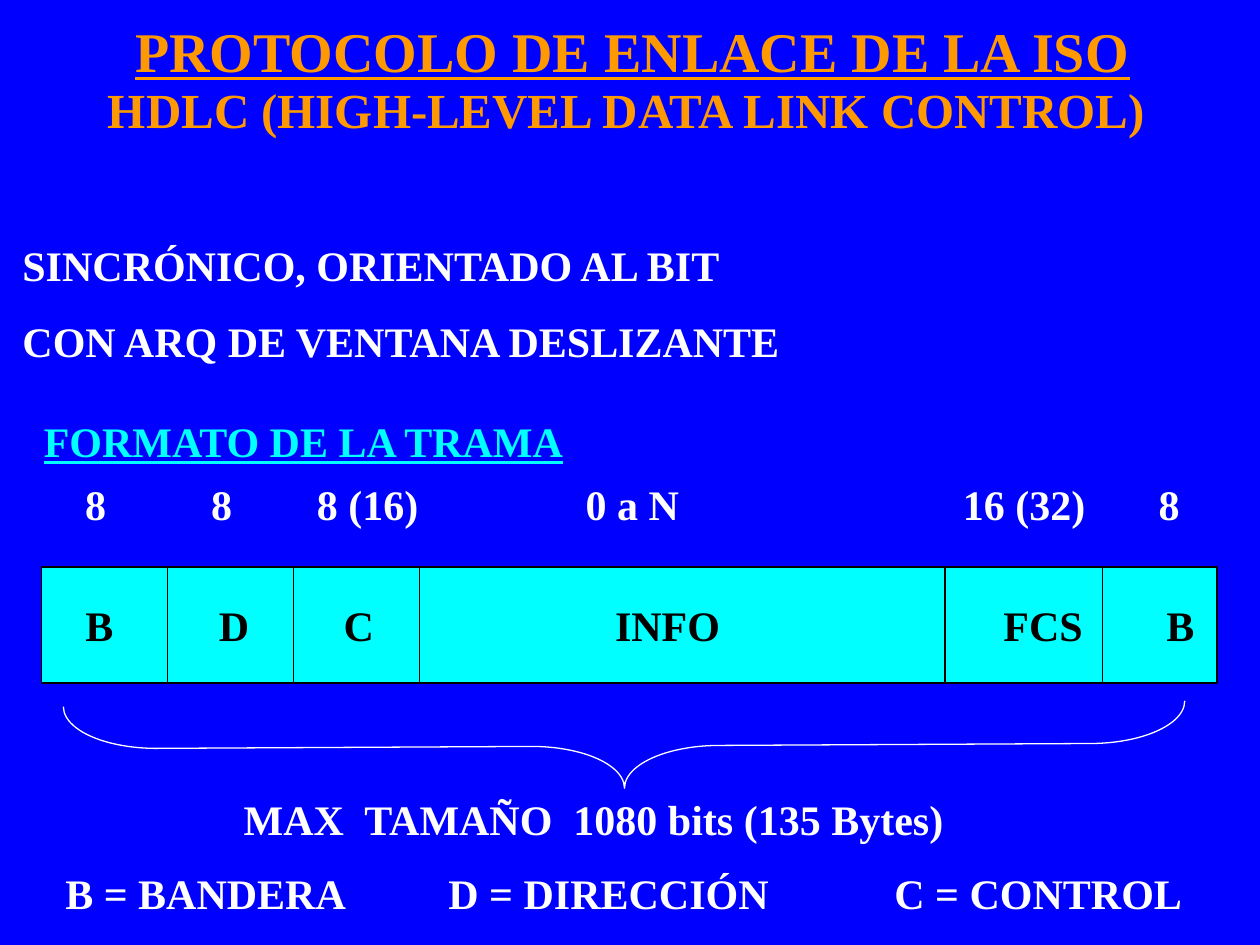
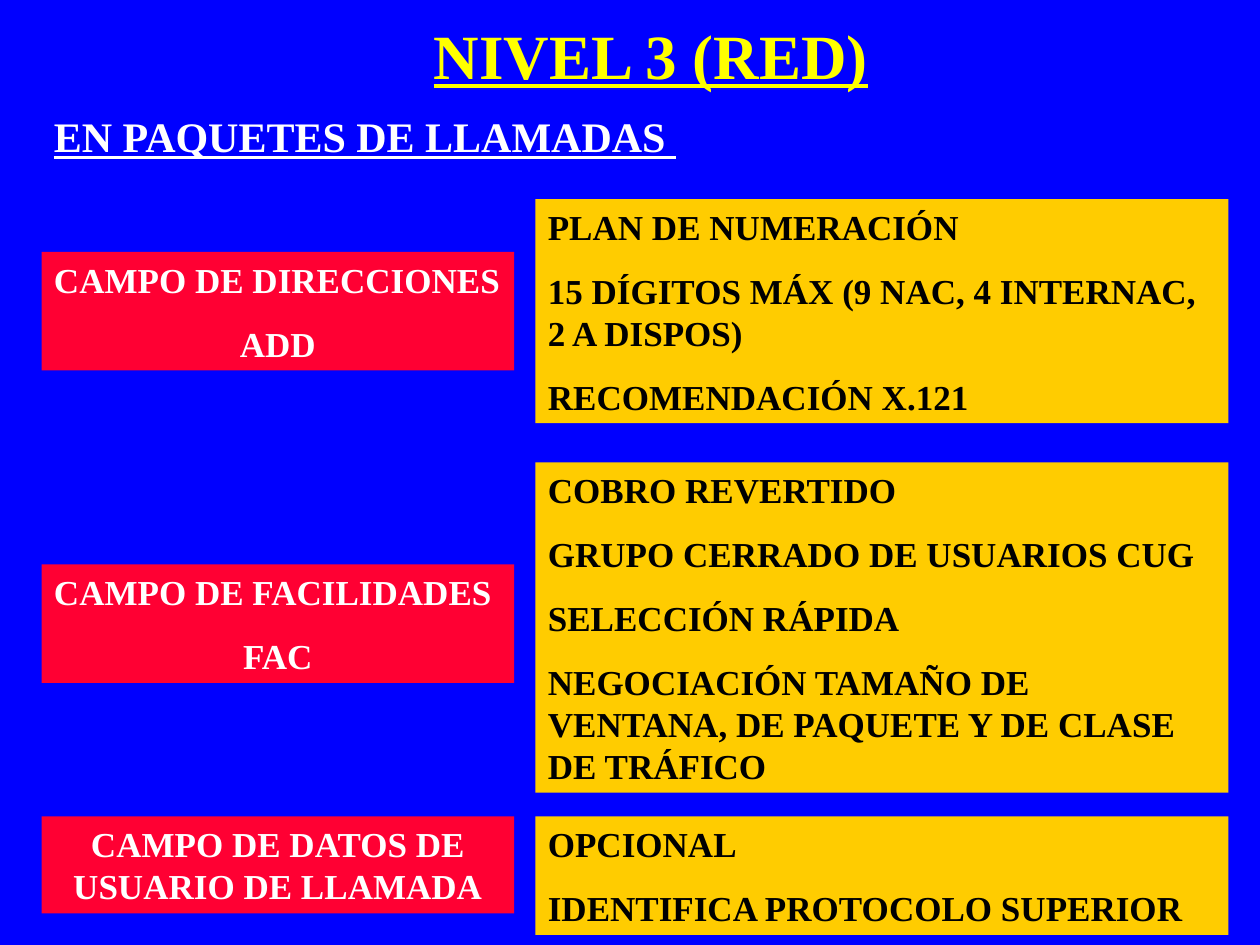
"""Build two slides on the HDLC frame format and the level 3 call packets."""
from lxml.etree import SubElement
from pptx import Presentation
from pptx.dml.color import RGBColor
from pptx.enum.shapes import MSO_CONNECTOR, MSO_SHAPE
from pptx.enum.text import MSO_ANCHOR, MSO_AUTO_SIZE, PP_ALIGN
from pptx.oxml.ns import qn
from pptx.util import Inches, Pt

FONT = "Times New Roman"
HEX = {"back": "0000FF", "orange": "FF9900", "cyan": "00FFFF", "white": "FFFFFF",
       "black": "000000", "yellow": "FFFF00", "red": "FF0033", "gold": "FFCC00"}
RGB = {name: RGBColor.from_string(code) for name, code in HEX.items()}
LEFT, MID = PP_ALIGN.LEFT, PP_ALIGN.CENTER


def add_box(slide, place, fill=None):
    spots = [Inches(v) for v in place]
    if fill is None:
        box = slide.shapes.add_textbox(*spots)
    else:
        box = slide.shapes.add_shape(MSO_SHAPE.RECTANGLE, *spots)
        box.shadow.inherit = False
        box.fill.solid()
        box.fill.fore_color.rgb = RGB[fill]
        box.line.fill.background()
    box.text_frame.word_wrap = True
    box.text_frame.auto_size = MSO_AUTO_SIZE.SHAPE_TO_FIT_TEXT
    box.text_frame.vertical_anchor = MSO_ANCHOR.TOP
    return box


def add_line(box, text, size, color, align=LEFT, under=False, tabs=(), kind="ctr"):
    frame = box.text_frame
    first = not frame.paragraphs[0].runs
    para = frame.paragraphs[0] if first else frame.add_paragraph()
    para.alignment = align
    if tabs:
        stops = SubElement(para._p.get_or_add_pPr(), qn("a:tabLst"))
        for stop in tabs:
            SubElement(stops, qn("a:tab"), pos=str(Inches(stop)), algn=kind)
    if not first:
        para.space_before = Pt(size * 0.625)
    run = para.add_run()
    run.text = text
    run.font.name = FONT
    run.font.size = Pt(size)
    run.font.bold = True
    run.font.underline = under
    run.font.color.rgb = RGB[color]
    return para


deck = Presentation()
deck.slide_width, deck.slide_height = Inches(10), Inches(7.5)
slides = [deck.slides.add_slide(deck.slide_layouts[6]) for _ in range(2)]
for slide in slides:
    slide.background.fill.solid()
    slide.background.fill.fore_color.rgb = RGB["back"]
link, net = slides

title = add_box(link, (0.27, 0.08, 9.5, 1.02))
add_line(title, "PROTOCOLO DE ENLACE DE LA ISO", 32, "orange", MID, True)
para = add_line(title, "HDLC (HIGH-LEVEL DATA LINK CONTROL) ", 28, "orange", MID)
para.line_spacing = 0.3

TOP, TALL = 4.5, 0.92
band = add_box(link, (0.33, TOP, 9.33, TALL), "cyan")
band.line.color.rgb = RGB["black"]
band.line.width = Pt(0.75)
band.text_frame.auto_size = MSO_AUTO_SIZE.NONE
band.text_frame.vertical_anchor = MSO_ANCHOR.MIDDLE
add_line(band, "\tB\tD\tC\tINFO\tFCS\tB", 24, "black",
         tabs=(0.36, 1.43, 2.42, 4.87, 7.85, 8.94))
for x in (1.33, 2.33, 3.33, 7.5, 8.75):
    rule = link.shapes.add_connector(MSO_CONNECTOR.STRAIGHT, Inches(x), Inches(TOP),
                                     Inches(x), Inches(TOP + TALL))
    rule.line.color.rgb = RGB["black"]
    rule.line.width = Pt(0.75)
    SubElement(rule._element.spPr, qn("a:effectLst"))

bits = add_box(link, (0.25, 3.75, 9.42, 0.5))
add_line(bits, "\t8\t8\t8 (16)\t0 a N\t16 (32)\t8", 24, "white",
         tabs=(0.41, 1.41, 2.57, 4.67, 7.78, 8.93))
key = add_box(link, (0.42, 6.91, 9.58, 0.42))
para = add_line(key, "B = BANDERA\tD = DIRECCIÓN\tC = CONTROL", 24, "white",
                tabs=(3.04, 6.58), kind="l")
para.line_spacing = 0.8
head = add_box(link, (0.25, 3.25, 6.67, 0.5))
add_line(head, "FORMATO DE LA TRAMA", 24, "cyan", under=True)

brace = link.shapes.add_shape(MSO_SHAPE.LEFT_BRACE, Inches(4.62), Inches(1.47),
                              Inches(0.67), Inches(8.9))
brace.rotation = 269.7
brace.adjustments[0] = 1.11
brace.shadow.inherit = False
brace.fill.background()
brace.line.color.rgb = RGB["white"]
brace.line.width = Pt(0.75)

mode = add_box(link, (0.08, 1.85, 9.67, 1.11))
for text in ("SINCRÓNICO, ORIENTADO AL BIT", "CON ARQ DE VENTANA DESLIZANTE"):
    add_line(mode, text, 24, "white")
size = add_box(link, (1.42, 6.25, 6.58, 0.5))
add_line(size, "MAX  TAMAÑO  1080 bits (135 Bytes)", 24, "white", MID)

title = add_box(net, (3, 0.08, 4.33, 0.7))
add_line(title, "NIVEL 3 (RED)", 36, "yellow", MID, True)
head = add_box(net, (0.33, 0.83, 6.33, 0.5))
add_line(head, "EN PAQUETES DE LLAMADAS ", 24, "white", under=True)

FIELDS = [
    (2, 0.94, [("CAMPO DE DIRECCIONES", LEFT), ("ADD", MID)],
     1.58, 1.78, ["PLAN DE NUMERACIÓN",
                  "15 DÍGITOS MÁX (9 NAC, 4 INTERNAC, 2 A DISPOS)",
                  "RECOMENDACIÓN X.121"]),
    (4.48, 0.94, [("CAMPO DE FACILIDADES", LEFT), ("FAC", MID)],
     3.67, 2.62, ["COBRO REVERTIDO", "GRUPO CERRADO DE USUARIOS CUG",
                  "SELECCIÓN RÁPIDA",
                  "NEGOCIACIÓN TAMAÑO DE VENTANA, DE PAQUETE Y DE CLASE DE TRÁFICO"]),
    (6.48, 0.77, [("CAMPO DE DATOS DE USUARIO DE LLAMADA", MID)],
     6.48, 0.94, ["OPCIONAL", "IDENTIFICA PROTOCOLO SUPERIOR"]),
]
for top, tall, names, start, depth, facts in FIELDS:
    field = add_box(net, (0.33, top, 3.75, tall), "red")
    for text, align in names:
        add_line(field, text, 20, "white", align)
    note = add_box(net, (4.25, start, 5.5, depth), "gold")
    for text in facts:
        add_line(note, text, 20, "black")

deck.save("out.pptx")
